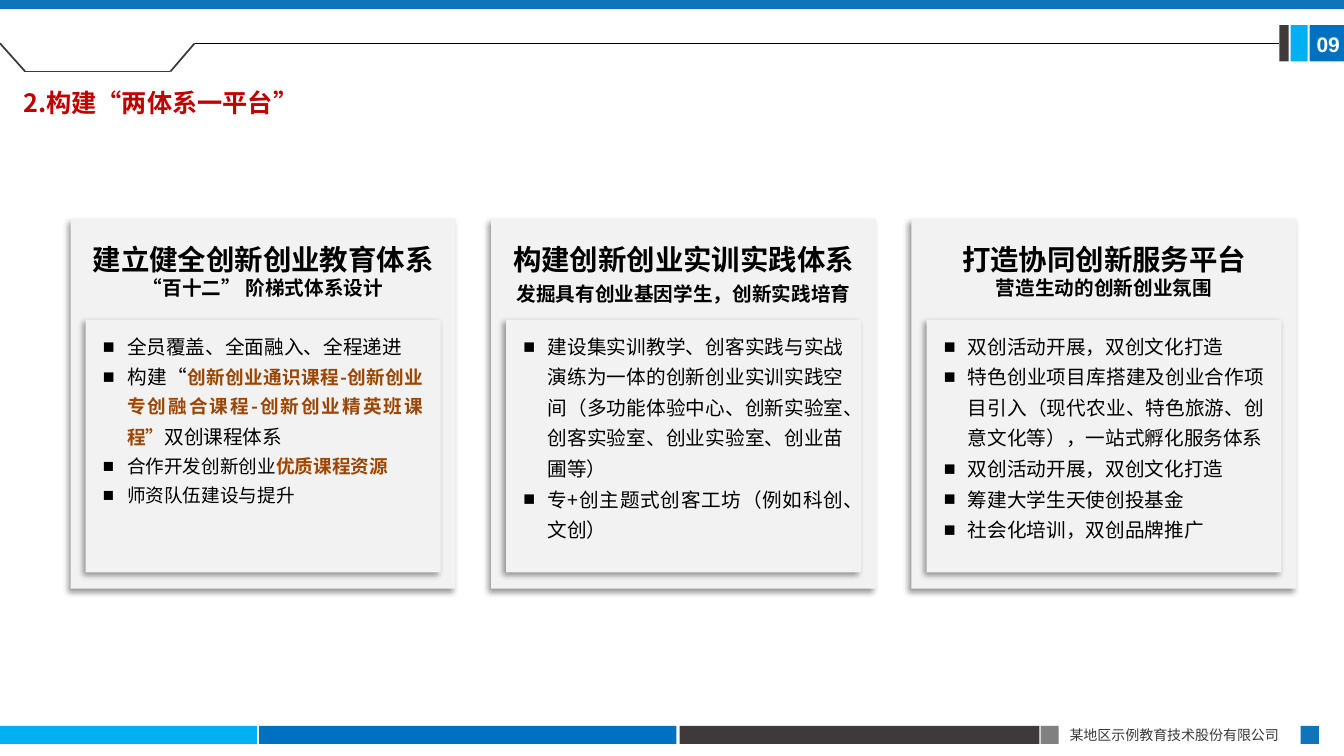
from dataclasses import dataclass

from lxml import etree
from pptx import Presentation, util as u
from pptx.dml.color import RGBColor
from pptx.enum import shapes, text
from pptx.oxml.ns import qn


@dataclass(frozen=True)
class Theme:
    font: str = "Noto Sans CJK SC"
    number_font: str = "Arial"
    black: str = "000000"
    white: str = "FFFFFF"
    dark: str = "3E3A39"
    gray: str = "808080"
    sky: str = "00B0F0"
    blue: str = "0070C0"
    bar: str = "1074BB"
    card: str = "F2F2F2"
    red: str = "C00000"
    accent: str = "9C4602"
    title: float = 18
    heading: float = 20.3
    body: float = 14
    compact: float = 13.3
    number: float = 15
    footer: float = 10


class SlideBuilder:
    def __init__(self, slide, theme):
        self.slide = slide
        self.theme = theme

    def place(self, shape, box):
        for name, value in zip(("left", "top", "width", "height"), box):
            setattr(shape, name, u.Inches(value))

    def frame(self, shape, insets=(0.1, 0.05)):
        frame = shape.text_frame
        across, down = map(u.Inches, insets)
        settings = {"word_wrap": True, "auto_size": text.MSO_AUTO_SIZE.NONE,
                    "vertical_anchor": text.MSO_ANCHOR.TOP,
                    "margin_left": across, "margin_right": across,
                    "margin_top": down, "margin_bottom": down}
        for name, value in settings.items():
            setattr(frame, name, value)
        return frame

    def paragraph(self, frame, first, runs, align, spacing=1.0, bullet=False):
        paragraph = frame.paragraphs[0] if first else frame.add_paragraph()
        if bullet:
            self.bullet(paragraph)
        settings = {"alignment": align, "line_spacing": spacing,
                    "space_before": u.Pt(0), "space_after": u.Pt(0)}
        for name, value in settings.items():
            setattr(paragraph, name, value)
        for words, size, color, bold in runs:
            self.run(paragraph, words, size, color, bold)

    def run(self, paragraph, words, size, color, bold):
        run = paragraph.add_run()
        run.text = words
        face = self.theme.number_font if words.isdigit() else self.theme.font
        settings = {"name": face, "size": u.Pt(size), "bold": bold}
        for name, value in settings.items():
            setattr(run.font, name, value)
        run.font.color.rgb = RGBColor.from_string(color)
        east_asian = etree.SubElement(run.font._element, qn("a:ea"))
        east_asian.set("typeface", face)

    def bullet(self, paragraph):
        properties = paragraph._p.get_or_add_pPr()
        indent = u.Inches(0.24)
        properties.set("marL", str(indent))
        properties.set("indent", str(-indent))
        etree.SubElement(properties, qn("a:buFont")).set("typeface", "Arial")
        etree.SubElement(properties, qn("a:buChar")).set("char", "■")

    def fill(self, shape, color):
        shape.fill.solid()
        shape.fill.fore_color.rgb = RGBColor.from_string(color)
        shape.line.fill.background()
        shape.shadow.inherit = False

    def shadow(self, shape):
        effects = shape._element.spPr.find(qn("a:effectLst"))
        outer = etree.SubElement(effects, qn("a:outerShdw"))
        settings = {"blurRad": u.Pt(4), "dist": u.Pt(3), "dir": 135 * 60000,
                    "algn": "tr", "rotWithShape": 0}
        for name, value in settings.items():
            outer.set(name, str(value))
        color = etree.SubElement(outer, qn("a:srgbClr"), val=self.theme.black)
        etree.SubElement(color, qn("a:alpha"), val="40000")

    def rectangle(self, box, color):
        shape = self.slide.shapes.add_shape(
            shapes.MSO_SHAPE.RECTANGLE, *map(u.Inches, box))
        self.fill(shape, color)
        return shape

    def line(self, start, end, color, width):
        connector = self.slide.shapes.add_connector(
            shapes.MSO_CONNECTOR.STRAIGHT, *map(u.Inches, start + end))
        connector.line.color.rgb = RGBColor.from_string(color)
        connector.line.width = u.Pt(width)
        etree.SubElement(connector._element.spPr, qn("a:effectLst"))
        return connector

    def label(self, box, words, size, color, bold, align):
        shape = self.slide.shapes.add_textbox(*map(u.Inches, box))
        self.paragraph(self.frame(shape), True,
                       [(words, size, color, bold)], align)

    def title(self, box, words):
        shape = self.slide.shapes.title
        self.place(shape, box)
        self.paragraph(self.frame(shape), True,
                       [(words, self.theme.title, self.theme.red, True)],
                       text.PP_ALIGN.LEFT)

    def card(self, left, heading, subtitle, subtitle_spacing):
        theme = self.theme
        shape = self.rectangle((left, 2.17, 3.82, 3.67), theme.card)
        self.shadow(shape)
        frame = self.frame(shape, (0.12, 0.06))
        center = text.PP_ALIGN.CENTER
        self.paragraph(frame, True,
                       [(heading, theme.heading, theme.black, True)], center, 1.5)
        self.paragraph(frame, False,
                       [(subtitle, theme.body, theme.black, True)],
                       center, subtitle_spacing)

    def bullet_list(self, placeholder, left, items):
        self.place(placeholder, (left, 3.17, 3.52, 2.51))
        self.fill(placeholder, self.theme.card)
        self.shadow(placeholder)
        self.slide.shapes._spTree.append(placeholder._element)
        frame = self.frame(placeholder, (0.17, 0.08))
        for index, runs in enumerate(items):
            self.paragraph(frame, index == 0, runs,
                           text.PP_ALIGN.JUSTIFY, 1.3, True)


def plain(theme, *lines):
    return [[(line, theme.body, theme.black, False)] for line in lines]


def main():
    theme = Theme()
    presentation = Presentation()
    presentation.slide_width = u.Inches(13.33)
    presentation.slide_height = u.Inches(7.5)
    slide = presentation.slides.add_slide(presentation.slide_layouts[4])
    builder = SlideBuilder(slide, theme)
    bodies = list(slide.placeholders)[1:]

    for left, width, color in [(0, 2.55, theme.sky), (2.57, 4.14, theme.blue),
                               (6.74, 3.57, theme.dark), (10.32, 0.18, theme.gray),
                               (12.9, 0.18, theme.bar)]:
        builder.rectangle((left, 7.2, width, 0.18), color)
    builder.label((10.51, 7.16, 2.4, 0.27), "某地区示例教育技术股份有限公司",
                  theme.footer, theme.dark, False, text.PP_ALIGN.JUSTIFY)

    builder.rectangle((0, 0, 13.33, 0.09), theme.bar)
    for left, width, color in [(12.99, 0.34, theme.blue), (12.8, 0.17, theme.sky),
                               (12.69, 0.09, theme.dark)]:
        tab = builder.rectangle((left, 0.25, width, 0.36), color)
    notch = [(0, 0.43), (0.25, 0.71), (1.69, 0.71), (1.93, 0.43)]
    for start, end in zip(notch, notch[1:]):
        builder.line(start, end, theme.dark, 1.25)
    rule = builder.line(notch[-1], (12.69, 0.43), theme.black, 0.5)
    rule.end_connect(tab, 1)
    builder.label((12.96, 0.26, 0.5, 0.35), "09", theme.number,
                  theme.white, True, text.PP_ALIGN.LEFT)
    builder.title((0.13, 0.82, 2.95, 0.4), "2.构建“两体系一平台”")

    courses = plain(theme, "全员覆盖、全面融入、全程递进") + [
        [("构建“", theme.body, theme.black, False),
         ("创新创业通识课程-创新创业专创融合课程-创新创业精英班课程”",
          theme.compact, theme.accent, True),
         ("双创课程体系", theme.body, theme.black, False)],
        [("合作开发创新创业", theme.compact, theme.black, False),
         ("优质课程资源", theme.compact, theme.accent, True)],
        [("师资队伍建设与提升", theme.compact, theme.black, False)]]
    practice = plain(
        theme,
        "建设集实训教学、创客实践与实战演练为一体的创新创业实训实践空间"
        "（多功能体验中心、创新实验室、创客实验室、创业实验室、创业苗圃等）",
        "专+创主题式创客工坊（例如科创、文创）")
    services = plain(
        theme, "双创活动开展，双创文化打造",
        "特色创业项目库搭建及创业合作项目引入"
        "（现代农业、特色旅游、创意文化等），一站式孵化服务体系",
        "双创活动开展，双创文化打造", "筹建大学生天使创投基金",
        "社会化培训，双创品牌推广")
    cards = [("建立健全创新创业教育体系", "“百十二” 阶梯式体系设计", 1.0, courses),
             ("构建创新创业实训实践体系", "发掘具有创业基因学生，创新实践培育", 1.25, practice),
             ("打造协同创新服务平台", "营造生动的创新创业氛围", 1.0, services)]
    for index, (heading, subtitle, spacing, items) in enumerate(cards):
        left = 0.7 + 4.17 * index
        builder.card(left, heading, subtitle, spacing)
        builder.bullet_list(bodies[index], left + 0.15, items)
    for spare in bodies[len(cards):]:
        slide.shapes._spTree.remove(spare._element)

    presentation.save("out.pptx")


if __name__ == "__main__":
    main()
